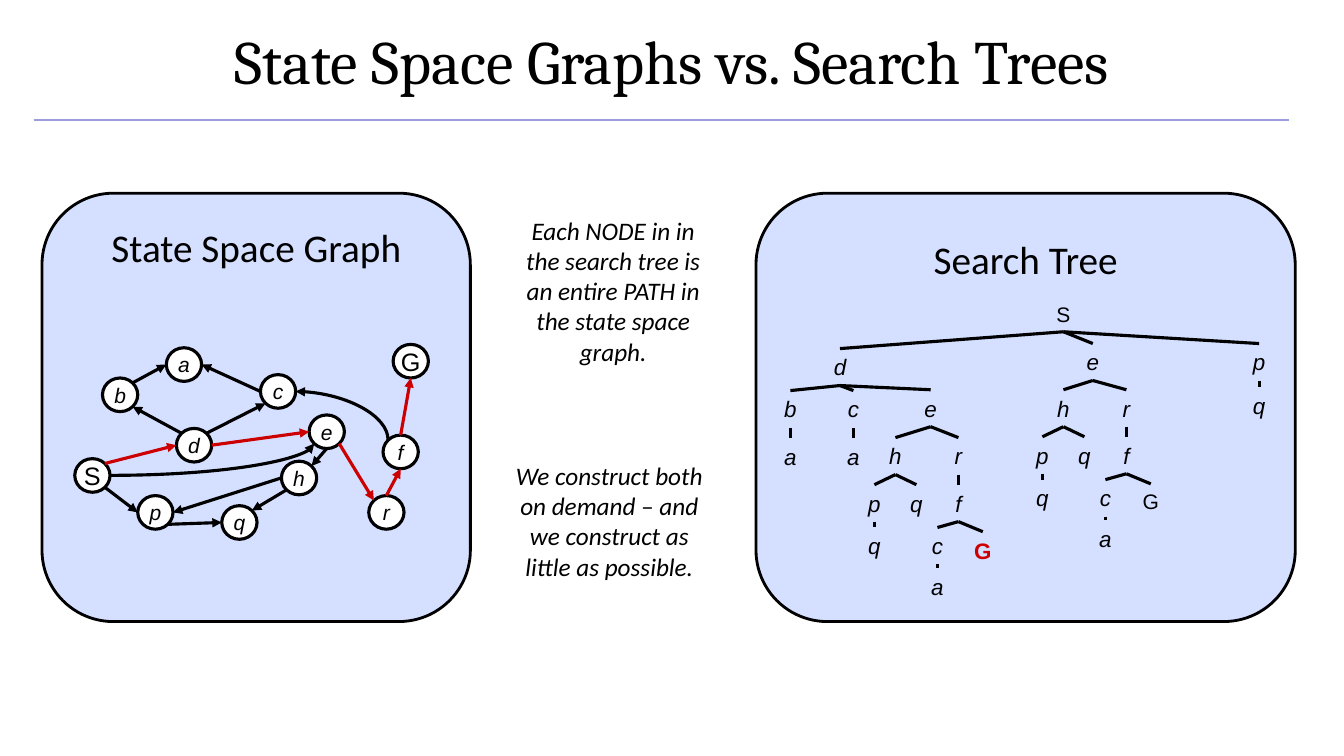
from lxml import etree
from pptx import Presentation
from pptx.dml.color import RGBColor
from pptx.enum.shapes import MSO_CONNECTOR, MSO_SHAPE
from pptx.enum.text import MSO_ANCHOR, MSO_AUTO_SIZE, PP_ALIGN
from pptx.oxml.ns import qn
from pptx.util import Inches, Pt

STRAIGHT, CURVE = MSO_CONNECTOR.STRAIGHT, MSO_CONNECTOR.CURVE
ROUNDED, CIRCLE = MSO_SHAPE.ROUNDED_RECTANGLE, MSO_SHAPE.FLOWCHART_CONNECTOR
CENTER, MIDDLE = PP_ALIGN.CENTER, MSO_ANCHOR.MIDDLE
GROW = MSO_AUTO_SIZE.SHAPE_TO_FIT_TEXT
CELL = Inches(1) / 12
COLUMNS, ROWS = 160, 90
BLACK, RED, WHITE = "000000", "CC0000", "FFFFFF"
PANEL_BLUE, RULE_BLUE = "D5DFFF", "9C9CDF"
SOLUTION = "SderfG"


def cells(*values):
    return [round(value * CELL) for value in values]


def write(frame, text, size, font, italic=False, bold=False, colour=BLACK):
    para = frame.paragraphs[0]
    para.alignment = CENTER
    span = para.add_run()
    span.text = text
    span.font.size = Pt(size)
    span.font.name = font
    span.font.italic = italic
    span.font.bold = bold
    span.font.color.rgb = RGBColor.from_string(colour)


deck = Presentation()
deck.slide_width, deck.slide_height = cells(COLUMNS, ROWS)
page = deck.slides.add_slide(deck.slide_layouts[5])

title = page.shapes.title
title.left, title.top, title.width, title.height = cells(0, -0.36, COLUMNS, 15)
title.text_frame.vertical_anchor = MIDDLE
write(title.text_frame, "State Space Graphs vs. Search Trees", 44, "Cambria")

for place in [(90, 23, 64.2, 51), (5, 23, 51, 51)]:
    panel = page.shapes.add_shape(ROUNDED, *cells(*place))
    panel.shadow.inherit = False
    panel.fill.solid()
    panel.fill.fore_color.rgb = RGBColor.from_string(PANEL_BLUE)
    panel.line.color.rgb = RGBColor.from_string(BLACK)
    panel.line.width = Pt(2)

strokes = [(page.shapes, STRAIGHT, (4, 14.3), (153.4, 14.3), RULE_BLUE, 1, False)]

captions = [
    ((59, 54.2, 27.1, 15.7),
     "We construct both on demand – and we construct as little as possible.",
     18, "Calibri", True),
    ((60, 25, 26, 19.4),
     "Each NODE in in the search tree is an entire PATH in the state space graph.",
     18, "Calibri", True),
    ((90.1, 27.4, 64, 6.8), "Search Tree", 28, "Calibri"),
    ((8, 26, 45, 6.8), "State Space Graph", 28, "Calibri"),
]

tree = {
    "S": (126.6, 35.3),
    "Sd": (100, 41.5), "Se": (130.1, 40.9), "Sp": (149.9, 40.9),
    "Sdb": (94.1, 46.5), "Sdc": (101.6, 46.5), "Sde": (110.8, 46.4),
    "Sdba": (94.1, 52.2), "Sdca": (101.6, 52.2), "Spq": (149.9, 46.1),
}
subtree = {
    "h": (0, 0), "r": (7.5, 0),
    "hp": (-2.5, 5.6), "hq": (2.5, 5.6), "rf": (7.5, 5.6),
    "hpq": (-2.5, 10.7), "rfc": (5, 10.7), "rfG": (10.4, 11.2),
    "rfca": (5, 15.5),
}
for root, left, top in [("Sde", 106.6, 52.1), ("Se", 126.6, 46.4)]:
    for branch, (across, down) in subtree.items():
        tree[root + branch] = (left + across, top + down)

label_widths = {"S": 10.8, "G": 8.3}
label_heights = {"S": 4.2}
for route, (x, top) in tree.items():
    label, parent = route[-1], route[:-1]
    width = label_widths.get(label, 4.2)
    solved = route == SOLUTION
    size = 15 if label.isupper() and not solved else 16
    captions.append(((x - width / 2, top, width, 4.4), label, size, "Arial",
                     label.islower(), solved, RED if solved else BLACK))
    if parent:
        parent_x, parent_top = tree[parent]
        start = (parent_x, parent_top + label_heights.get(parent[-1], 4.4))
        strokes.append((page.shapes, STRAIGHT, start, (x, top), BLACK, 2.25, False))

for place, text, *style in captions:
    box = page.shapes.add_textbox(*cells(*place))
    box.text_frame.word_wrap = True
    box.text_frame.auto_size = GROW
    write(box.text_frame, text, *style)

states = {
    "S": (11, 56.6), "G": (48.9, 43), "d": (23.1, 53), "b": (14.3, 47),
    "p": (18.5, 61), "q": (28.5, 62.2), "c": (33.1, 46.6), "e": (38.9, 51.4),
    "h": (35.6, 56.9), "a": (21.9, 43.4), "f": (47.7, 53.8), "r": (46, 61),
}
NODE_WIDTH, NODE_HEIGHT = 4.2, 4
graph = page.shapes.add_group_shape()
for state, (x, y) in states.items():
    node = graph.shapes.add_shape(CIRCLE, *cells(
        x - NODE_WIDTH / 2, y - NODE_HEIGHT / 2, NODE_WIDTH, NODE_HEIGHT))
    node.shadow.inherit = False
    node.fill.solid()
    node.fill.fore_color.rgb = RGBColor.from_string(WHITE)
    node.line.color.rgb = RGBColor.from_string(BLACK)
    node.line.width = Pt(2.25)
    node.text_frame.word_wrap = False
    node.text_frame.vertical_anchor = MIDDLE
    write(node.text_frame, state, 18 if state.isupper() else 15, "Arial", state.islower())

compass = {
    "N": (0, -1), "E": (1, 0), "S": (0, 1), "W": (-1, 0),
    "NE": (0.71, -0.71), "SE": (0.71, 0.71), "SW": (-0.71, 0.71), "NW": (-0.71, -0.71),
}
edges = [
    "S SE p W", "p SE q W", "h SW q NE", "h W p E", "e S h NE", "e SE r NW",
    "r N f S", "f N G S", "S NE d W", "d NW b SE", "b NE a W", "c W a E",
    "d NE c SW", "d E e W", "f NW c E", "S E e SW",
]
curved_edges = {"fc", "Se"}
for edge in edges:
    source, source_side, target, target_side = edge.split()
    start, end = [
        (states[state][0] + compass[side][0] * NODE_WIDTH / 2,
         states[state][1] + compass[side][1] * NODE_HEIGHT / 2)
        for state, side in [(source, source_side), (target, target_side)]
    ]
    kind = CURVE if source + target in curved_edges else STRAIGHT
    colour = RED if source + target in SOLUTION else BLACK
    strokes.append((graph.shapes, kind, start, end, colour, 2.25, True))

for shapes, kind, start, end, colour, width, arrow in strokes:
    turned = kind == CURVE and end[0] < start[0]
    if turned:
        middle_x, middle_y = (start[0] + end[0]) / 2, (start[1] + end[1]) / 2
        half_x, half_y = (start[0] - end[0]) / 2, (start[1] - end[1]) / 2
        start = (middle_x + half_y, middle_y - half_x)
        end = (middle_x - half_y, middle_y + half_x)
    line = shapes.add_connector(kind, *cells(*start, *end))
    line.line.color.rgb = RGBColor.from_string(colour)
    line.line.width = Pt(width)
    properties = line._element.spPr
    if arrow:
        etree.SubElement(properties.find(qn("a:ln")), qn("a:tailEnd"), type="triangle")
    if kind == CURVE:
        properties.find(qn("a:prstGeom")).set("prst", "curvedConnector2")
    if turned:
        properties.find(qn("a:xfrm")).set("rot", "5400000")
    etree.SubElement(properties, qn("a:effectLst"))

deck.save("out.pptx")
